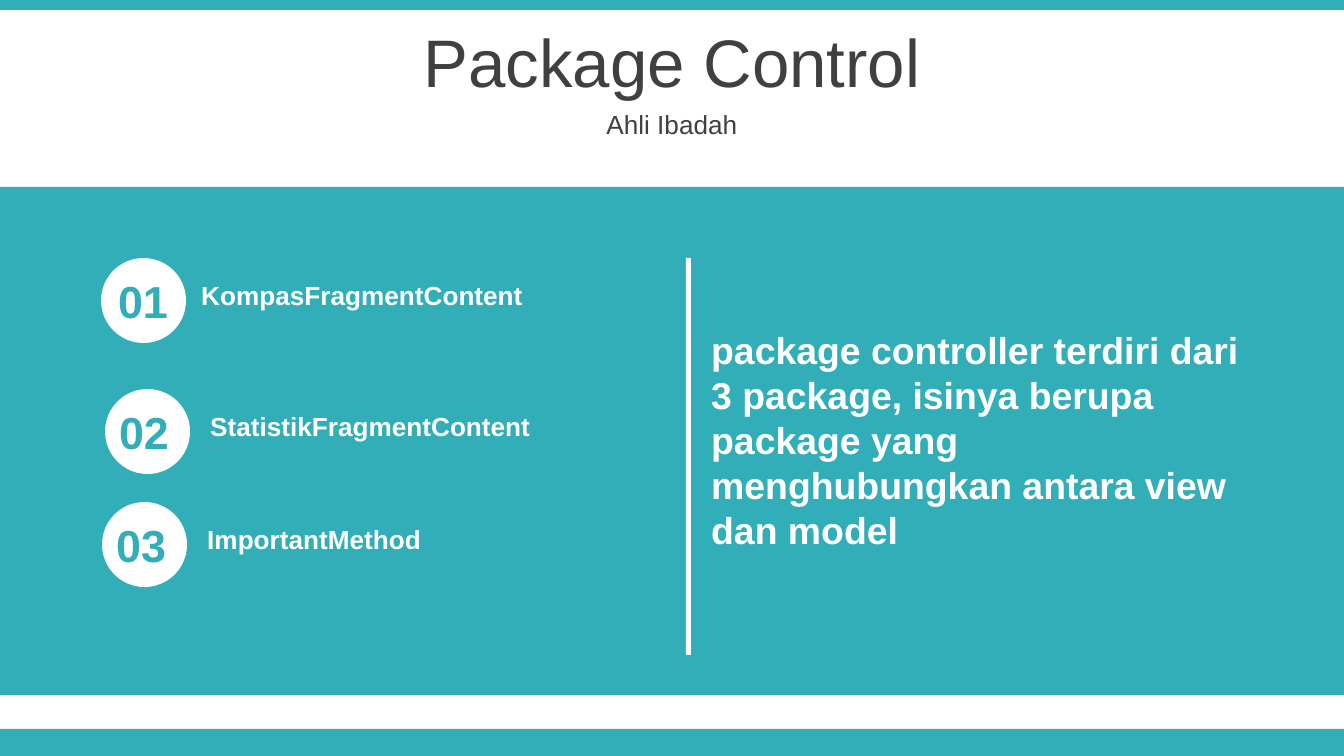
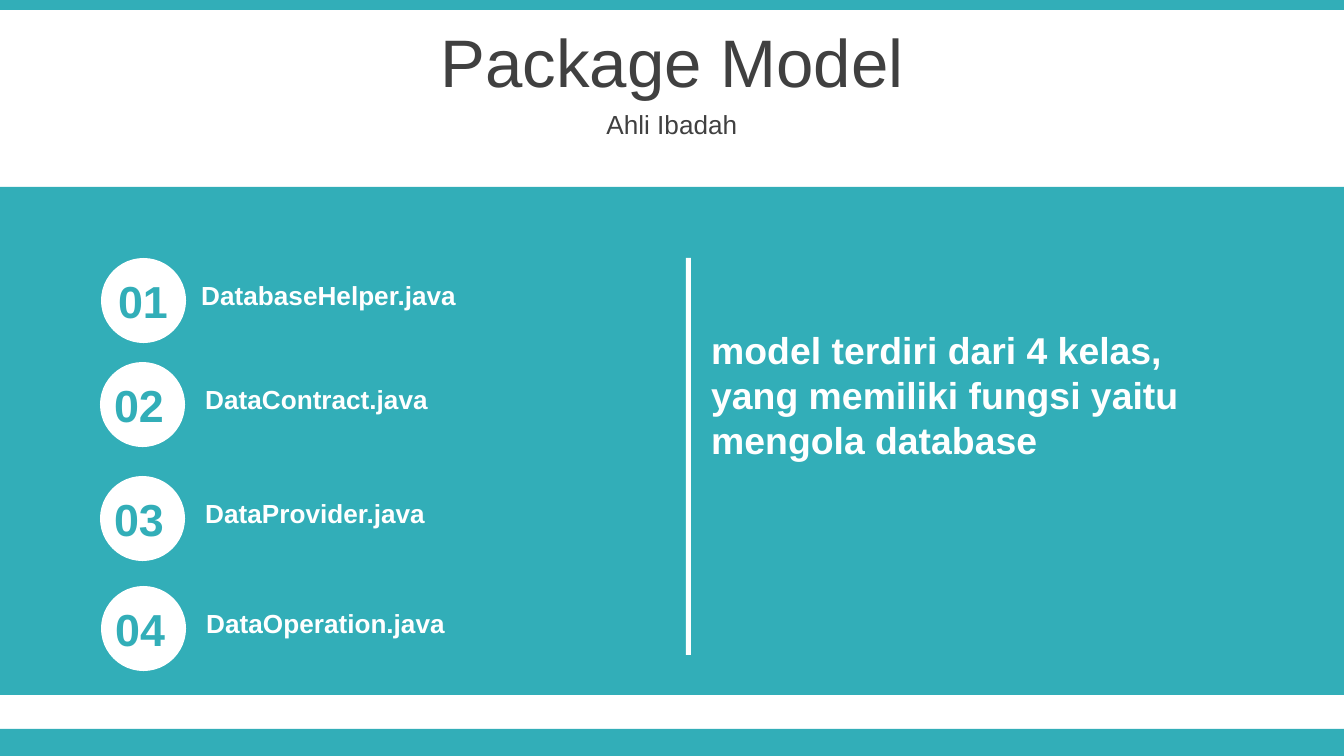
from dataclasses import dataclass
from typing import NamedTuple

from pptx import Presentation
from pptx.dml.color import RGBColor
from pptx.enum.shapes import MSO_SHAPE
from pptx.enum.text import MSO_ANCHOR, MSO_AUTO_SIZE, PP_ALIGN
from pptx.util import Emu, Pt


@dataclass(frozen=True)
class Theme:
    font: str = "Arial"
    teal: RGBColor = RGBColor(0x32, 0xAE, 0xB8)
    white: RGBColor = RGBColor(0xFF, 0xFF, 0xFF)
    dark: RGBColor = RGBColor(0x40, 0x40, 0x40)
    title_size: int = 36
    number_size: int = 24
    description_size: int = 20
    label_size: int = 14
    heading_spacing: float = 0.2


class Box(NamedTuple):
    left: int
    top: int
    width: int
    height: int

    def inner(self, left, top, width, height):
        return Box(self.left + left, self.top + top, width, height)

    def emu(self):
        return [px(length) for length in self]


class Item(NamedTuple):
    label: str
    left: int
    top: int


THEME = Theme()
EMU_PER_PX = 6804
SLIDE = Box(0, 0, 1344, 756)
TOP_BAND = Box(0, 0, 1344, 10)
BOTTOM_BAND = Box(0, 729, 1344, 27)
HEADER = Box(0, 19, 1344, 126)
PANEL = Box(0, 187, 1344, 508)
BADGE_SIZE = 85
LINE_HEIGHT = 45
TEXT_PADDING = 14
SUBTITLE = "Ahli Ibadah"

SLIDES = [
    (
        "Package Control",
        [
            Item("KompasFragmentContent", 101, 71),
            Item("StatistikFragmentContent", 105, 202),
            Item("ImportantMethod", 102, 315),
        ],
        "package controller terdiri dari 3 package, isinya berupa package yang "
        "menghubungkan antara view dan model",
        5,
    ),
    (
        "Package Model",
        [
            Item("DatabaseHelper.java", 101, 71),
            Item("DataContract.java", 100, 175),
            Item("DataProvider.java", 100, 289),
            Item("DataOperation.java", 101, 399),
        ],
        "model terdiri dari 4 kelas, yang memiliki fungsi yaitu mengola database",
        3,
    ),
]


def px(length):
    return Emu(length * EMU_PER_PX)


def add_solid(slide, kind, box, color):
    shape = slide.shapes.add_shape(kind, *box.emu())
    shape.shadow.inherit = False
    shape.fill.solid()
    shape.fill.fore_color.rgb = color
    shape.line.fill.background()
    return shape


def write_text(shape, text, size, color, bold=False, alignment=PP_ALIGN.LEFT):
    frame = shape.text_frame
    frame.word_wrap = True
    frame.text = text
    paragraph = frame.paragraphs[0]
    paragraph.alignment = alignment
    paragraph.font.name = THEME.font
    paragraph.font.size = Pt(size)
    paragraph.font.bold = bold
    paragraph.font.color.rgb = color
    return paragraph


def add_text(slide, box, text, size, color, alignment=PP_ALIGN.LEFT):
    shape = slide.shapes.add_textbox(*box.emu())
    write_text(shape, text, size, color, True, alignment)
    shape.text_frame.auto_size = MSO_AUTO_SIZE.SHAPE_TO_FIT_TEXT


def write_heading(shape, text, size):
    paragraph = write_text(shape, text, size, THEME.dark, alignment=PP_ALIGN.CENTER)
    paragraph.space_before = Pt(size * THEME.heading_spacing)
    shape.text_frame.vertical_anchor = MSO_ANCHOR.MIDDLE
    shape.text_frame.auto_size = MSO_AUTO_SIZE.NONE


def add_layout_bands(layout, slide):
    for box in (BOTTOM_BAND, TOP_BAND):
        band = add_solid(slide, MSO_SHAPE.RECTANGLE, box, THEME.teal)
        layout.shapes.element.append(band.element)


def add_header(slide, box, title_text):
    title = slide.shapes.title
    title_box = box.inner(0, 0, box.width, 84)
    title.left, title.top, title.width, title.height = title_box.emu()
    write_heading(title, title_text, THEME.title_size)
    subtitle = slide.shapes.add_textbox(*box.inner(0, 84, box.width, 42).emu())
    write_heading(subtitle, SUBTITLE, THEME.label_size)


def add_item(slide, box, number, label):
    number_left, label_left = (-5, 87) if number == 1 else (-8, 92)
    add_solid(slide, MSO_SHAPE.OVAL, box, THEME.white)
    add_text(slide, box.inner(number_left, 9, 94, 67), f"{number:02}",
             THEME.number_size, THEME.teal, PP_ALIGN.CENTER)
    add_text(slide, box.inner(label_left, 15, 572, 46), label,
             THEME.label_size, THEME.white)


def add_panel(slide, box, items, description, line_count):
    add_solid(slide, MSO_SHAPE.RECTANGLE, box, THEME.teal)
    for number, item in enumerate(items, 1):
        badge = box.inner(item.left, item.top, BADGE_SIZE, BADGE_SIZE)
        add_item(slide, badge, number, item.label)
    add_solid(slide, MSO_SHAPE.RECTANGLE, box.inner(686, 71, 5, 397), THEME.white)
    height = line_count * LINE_HEIGHT + TEXT_PADDING
    add_text(slide, box.inner(698, 134, 572, height), description,
             THEME.description_size, THEME.white)


def add_package_slide(presentation, layout, title, items, description, line_count):
    slide = presentation.slides.add_slide(layout)
    add_header(slide, HEADER, title)
    add_panel(slide, PANEL, items, description, line_count)
    return slide


def main():
    presentation = Presentation()
    presentation.slide_width = px(SLIDE.width)
    presentation.slide_height = px(SLIDE.height)
    layout = presentation.slide_layouts.get_by_name("Title Only")
    slides = [add_package_slide(presentation, layout, *content) for content in SLIDES]
    add_layout_bands(layout, slides[0])
    presentation.save("out.pptx")


if __name__ == "__main__":
    main()
